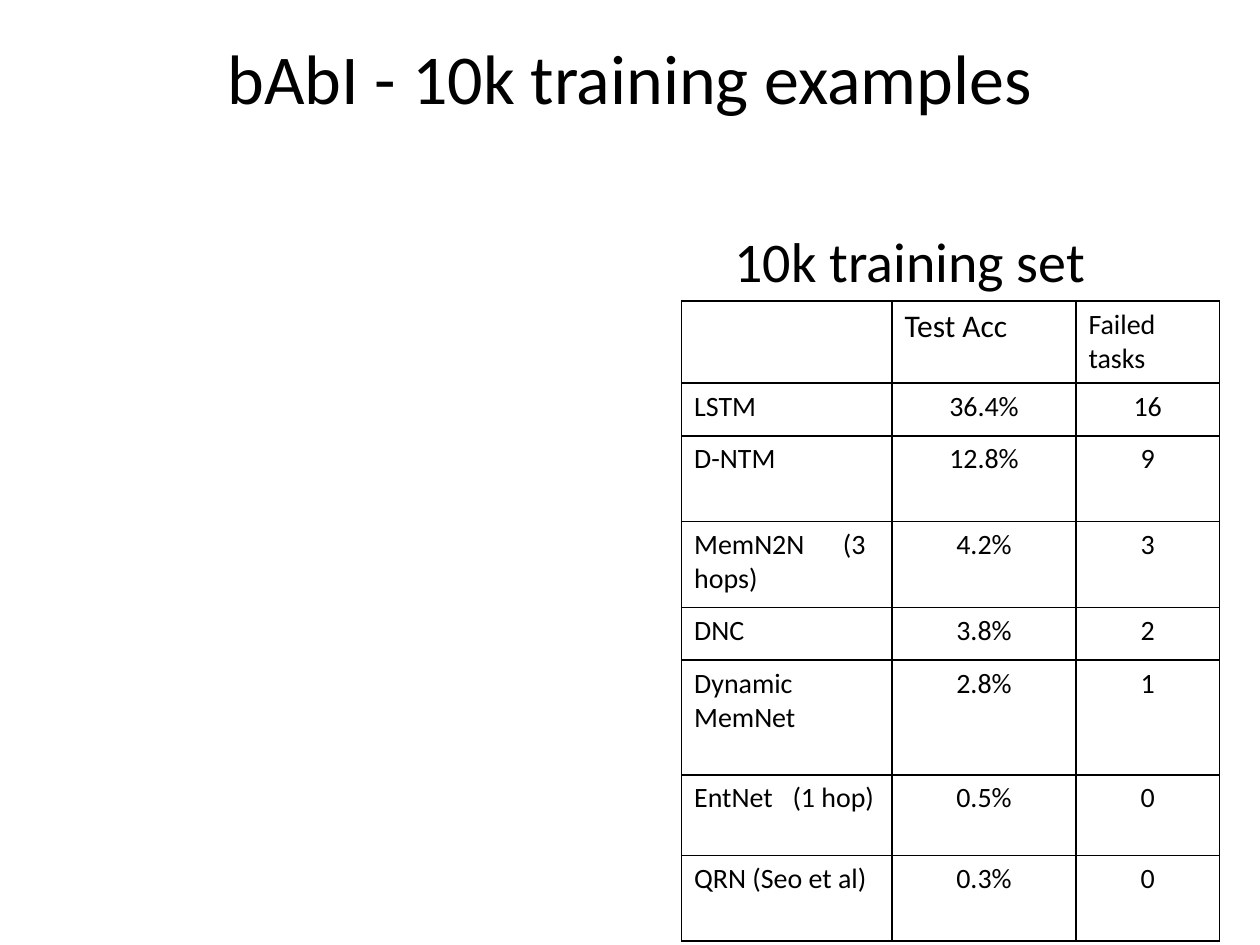
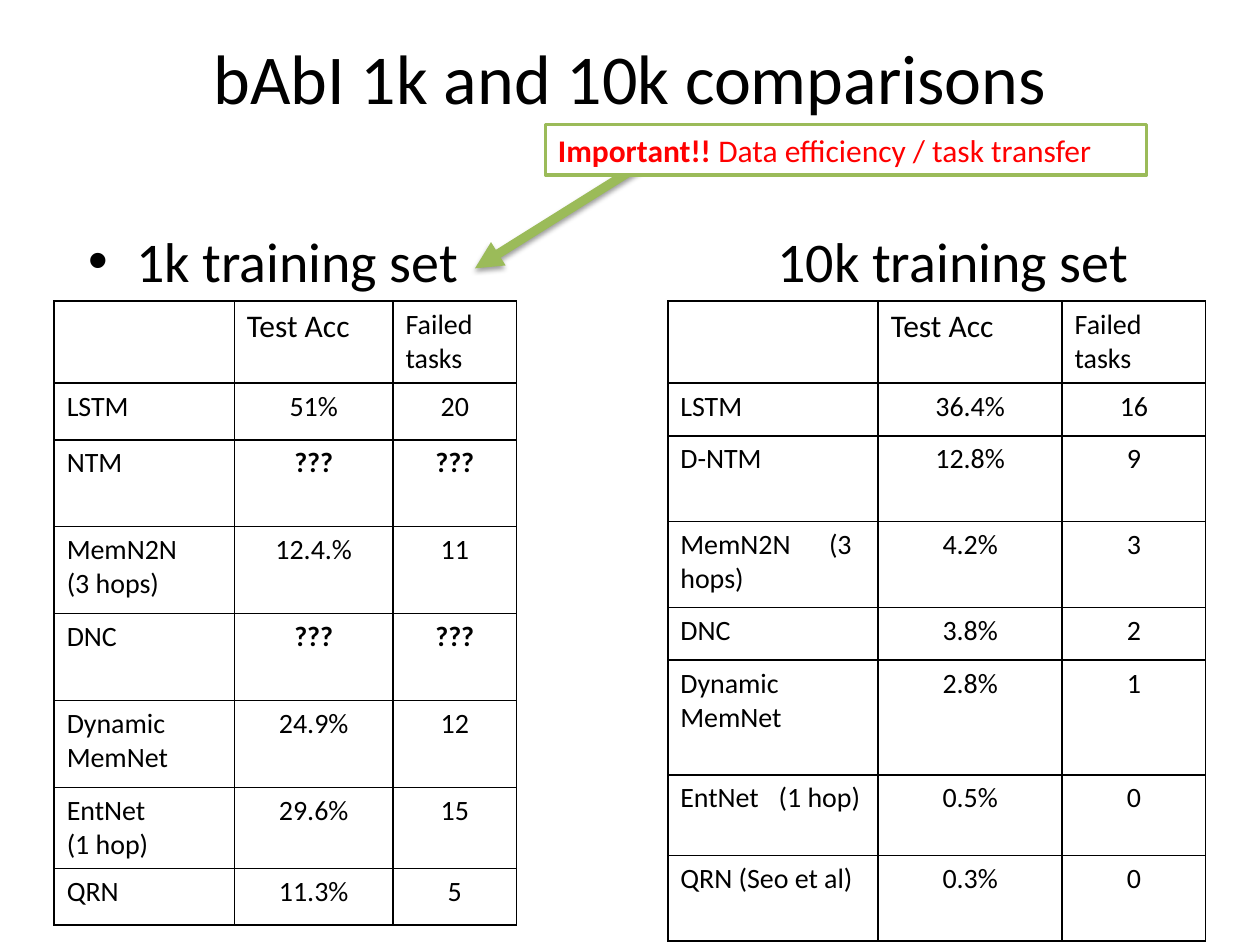
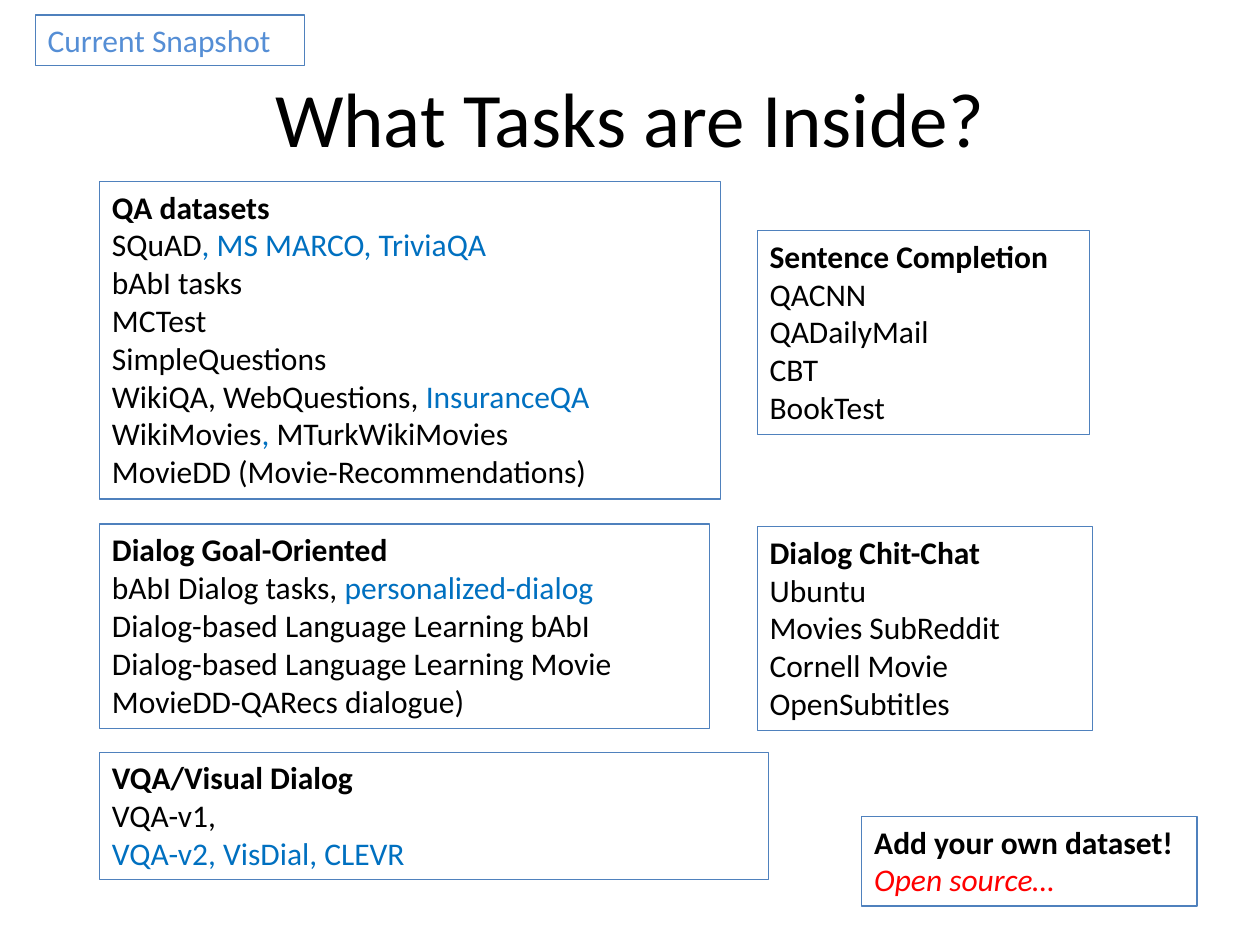
from lxml import etree
from pptx import Presentation
from pptx import util as u
from pptx.dml.color import RGBColor
from pptx.enum import shapes, text
from pptx.oxml.ns import qn

FONT = "Calibri"
BLACK, WHITE, RED = "000000", "FFFFFF", "FF0000"
BLUE, SKY, EDGE, GREEN = "0070C0", "558ED5", "4F81BD", "9BBB59"

# Content: tables; a tab in a label goes with its stop in STOPS
HEAD = ("", "Test Acc", "Failed tasks")
SMALL = [
    HEAD,
    ("LSTM", "51%", "20"),
    ("NTM", "???", "???"),
    ("MemN2N\v(3 hops)", "12.4.%", "11"),
    ("DNC", "???", "???"),
    ("Dynamic MemNet", "24.9%", "12"),
    ("EntNet\v(1 hop)", "29.6%", "15"),
    ("QRN", "11.3%", "5"),
]
LARGE = [
    HEAD,
    ("LSTM", "36.4%", "16"),
    ("D-NTM", "12.8%", "9"),
    ("MemN2N\t(3 hops)", "4.2%", "3"),
    ("DNC", "3.8%", "2"),
    ("Dynamic MemNet", "2.8%", "1"),
    ("EntNet\t(1 hop)", "0.5%", "0"),
    ("QRN (Seo et al)", "0.3%", "0"),
]
STOPS = {"MemN2N\t(3 hops)": 1.18, "EntNet\t(1 hop)": 0.78}
SMALL_COLS, SMALL_ROWS = (1.43, 1.26, 0.98), (0.65, 0.45, 0.69, 0.69, 0.69, 0.69, 0.64, 0.45)
LARGE_COLS, LARGE_ROWS = (1.67, 1.46, 1.14), (0.65, 0.42, 0.68, 0.68, 0.42, 0.91, 0.64, 0.68)

# Content: task boxes as (place, lines); a line is a string or a list of (text, format)
NEW, BOLD = dict(color=BLUE), dict(bold=True)
TASKS = [
    ((6.01, 1.83, 2.64, 1.62), [
        [("Sentence Completion", BOLD)], "QACNN", "QADailyMail", "CBT", "BookTest"]),
    ((6.01, 4.18, 2.66, 1.62), [
        [("Dialog Chit-Chat", BOLD)], "Ubuntu", "Movies SubReddit", "Cornell Movie",
        "OpenSubtitles"]),
    ((6.84, 6.48, 2.66, 0.71), [
        [("Add your own dataset!", BOLD)], [("Open source…", dict(color=RED, italic=True))]]),
    ((0.79, 5.97, 5.31, 1.01), [
        [("VQA/Visual Dialog", BOLD)], "VQA-v1,", [("VQA-v2, VisDial, CLEVR", NEW)]]),
    ((0.79, 4.16, 4.84, 1.62), [
        [("Dialog Goal-Oriented", BOLD)],
        [("bAbI Dialog tasks, ", {}), ("personalized-dialog", NEW)],
        "Dialog-based Language Learning bAbI", "Dialog-based Language Learning Movie",
        "MovieDD-QARecs dialogue)"]),
    ((0.79, 1.44, 4.93, 2.52), [
        [("QA datasets", BOLD)],
        [("SQuAD", {}), (", MS MARCO, TriviaQA", NEW)],
        "bAbI tasks", "MCTest", "SimpleQuestions",
        [("WikiQA, WebQuestions, ", {}), ("InsuranceQA", NEW)],
        [("WikiMovies", {}), (", ", NEW), ("MTurkWikiMovies", {})],
        "MovieDD (Movie-Recommendations)"]),
    ((0.28, 0.12, 2.14, 0.4), [[("Current Snapshot", dict(color=SKY))]]),
]


def rgb(code):
    return RGBColor.from_string(code)


def sub(node, tag, **attrs):
    return etree.SubElement(node, qn(tag), {k: str(v) for k, v in attrs.items()})


def write(para, words, size=18, color=BLACK, bold=False, italic=False, align=None):
    """Add words to a paragraph; a vertical tab is a line break."""
    if align is not None:
        para.alignment = align
    for i, part in enumerate(words.split("\v")):
        if i:
            para.add_line_break()
        run = para.add_run()
        run.text = part
        font = run.font
        font.name, font.size, font.bold, font.italic = FONT, u.Pt(size), bold, italic
        font.color.rgb = rgb(color)


def place(shape, box):
    shape.left, shape.top, shape.width, shape.height = map(u.Inches, box)


def start(deck, layout, title, box=(0.6, -0.12, 8.8, 1.46), size=40):
    slide = deck.slides.add_slide(deck.slide_layouts[layout])
    place(slide.shapes.title, box)
    write(slide.shapes.title.text_frame.paragraphs[0], title, size,
          align=text.PP_ALIGN.CENTER)
    return slide


def label(slide, idx, words, left, width, margin=0, bullet=False):
    """Heading above a table, in a body placeholder."""
    body = slide.placeholders[idx]
    place(body, (left, 1.75, width, 0.64))
    body.text_frame.auto_size = text.MSO_AUTO_SIZE.NONE
    para = body.text_frame.paragraphs[0]
    props = para._p.get_or_add_pPr()
    props.set("marL", str(u.Inches(margin)))
    props.set("indent", str(u.Inches(-margin if bullet else 0)))
    if bullet:
        sub(props, "a:buChar", char="•")
    else:
        sub(props, "a:buNone")
    para.space_before = u.Pt(0)
    write(para, words, 32)


def border(cell):
    props = cell._tc.get_or_add_tcPr()
    for i, side in enumerate(("a:lnL", "a:lnR", "a:lnT", "a:lnB")):
        line = etree.Element(qn(side), w=str(u.Pt(1)))
        sub(sub(line, "a:solidFill"), "a:srgbClr", val=BLACK)
        props.insert(i, line)


def grid(slide, rows, left, cols, highs):
    frame = slide.shapes.add_table(len(rows), len(cols), u.Inches(left), u.Inches(2.39),
                                   u.Inches(sum(cols)), u.Inches(sum(highs)))
    table = frame.table
    table.first_row = table.horz_banding = False
    for col, wide in zip(table.columns, cols):
        col.width = u.Inches(wide)
    for r, (row, high) in enumerate(zip(rows, highs)):
        table.rows[r].height = u.Inches(high)
        for c, words in enumerate(row):
            cell = table.cell(r, c)
            cell.fill.background()
            border(cell)
            if not words:
                continue
            para = cell.text_frame.paragraphs[0]
            if words in STOPS:
                tabs = sub(para._p.get_or_add_pPr(), "a:tabLst")
                sub(tabs, "a:tab", pos=u.Inches(STOPS[words]), algn="l")
            write(para, words, 18 if words == "Test Acc" else 16, bold=words == "???",
                  align=text.PP_ALIGN.CENTER if r and c else None)


def panel(slide, box, lines, edge=EDGE, weight=0.75, fill=None):
    shape = slide.shapes.add_shape(shapes.MSO_SHAPE.RECTANGLE, *map(u.Inches, box))
    shape.shadow.inherit = False
    if fill:
        shape.fill.solid()
        shape.fill.fore_color.rgb = rgb(fill)
    else:
        shape.fill.background()
    shape.line.color.rgb, shape.line.width = rgb(edge), u.Pt(weight)
    frame = shape.text_frame
    frame.word_wrap = True
    frame.vertical_anchor = text.MSO_ANCHOR.TOP
    for i, line in enumerate(lines):
        para = frame.add_paragraph() if i else frame.paragraphs[0]
        for words, form in [(line, {})] if isinstance(line, str) else line:
            write(para, words, align=text.PP_ALIGN.LEFT, **form)


def arrow(slide, x1, y1, x2, y2):
    line = slide.shapes.add_connector(shapes.MSO_CONNECTOR.STRAIGHT,
                                      *map(u.Inches, (x1, y1, x2, y2)))
    line.line.color.rgb, line.line.width = rgb(GREEN), u.Pt(5.25)
    sub(line.line._get_or_add_ln(), "a:tailEnd", type="triangle")
    shade = sub(sub(line._element.spPr, "a:effectLst"), "a:outerShdw", blurRad=u.Pt(3.1),
                dist=u.Pt(1.6), dir=90 * 60000, rotWithShape=0)
    sub(sub(shade, "a:srgbClr", val=BLACK), "a:alpha", val=38000)


def main():
    deck = Presentation()
    deck.slide_width, deck.slide_height = u.Inches(10), u.Inches(7.5)

    # Large training set
    slide = start(deck, 1, "bAbI - 10k training examples")
    label(slide, 1, "10k training set", 0.6, 8.8, margin=5.13)
    grid(slide, LARGE, 5.41, LARGE_COLS, LARGE_ROWS)

    # Both training sets
    slide = start(deck, 3, "bAbI 1k and 10k comparisons")
    label(slide, 1, "1k training set", 0.6, 4.4, margin=0.38, bullet=True)
    label(slide, 2, "10k training set", 6.07, 3.33)
    grid(slide, SMALL, 0.43, SMALL_COLS, SMALL_ROWS)
    grid(slide, LARGE, 5.3, LARGE_COLS, LARGE_ROWS)
    arrow(slide, 5.48, 1.06, 3.77, 2.13)
    panel(slide, (4.33, 0.99, 4.77, 0.4),
          [[("Important!! ", dict(color=RED, bold=True)),
            ("Data efficiency / task transfer", dict(color=RED))]],
          edge=GREEN, weight=2, fill=WHITE)

    # Task overview
    slide = start(deck, 5, "What Tasks are Inside?", (0.5, 0.3, 9, 1.25), 44)
    for box, lines in TASKS:
        panel(slide, box, lines)

    deck.save("out.pptx")


if __name__ == "__main__":
    main()
